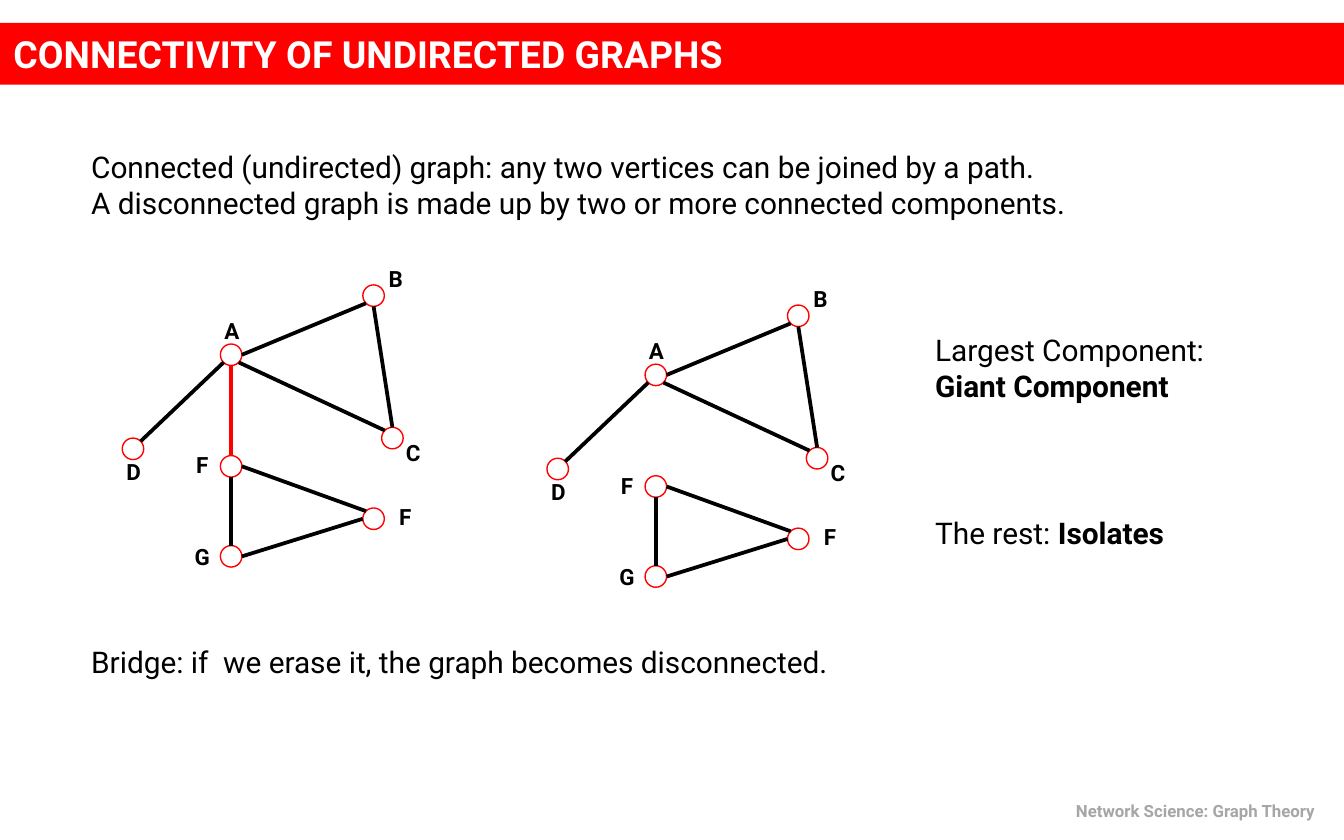
import math
from dataclasses import dataclass

from lxml import etree
from pptx import Presentation
from pptx.dml.color import RGBColor
from pptx.enum.shapes import MSO_CONNECTOR, MSO_SHAPE
from pptx.enum.text import MSO_ANCHOR, MSO_AUTO_SIZE, PP_ALIGN
from pptx.oxml.ns import qn
from pptx.slide import Slide
from pptx.text.text import TextFrame
from pptx.util import Inches, Pt

STRAIGHT = MSO_CONNECTOR.STRAIGHT
OVAL = MSO_SHAPE.OVAL
LEFT, CENTER, RIGHT = PP_ALIGN.LEFT, PP_ALIGN.CENTER, PP_ALIGN.RIGHT
TOP, MIDDLE = MSO_ANCHOR.TOP, MSO_ANCHOR.MIDDLE
TITLE_ONLY = 5


@dataclass(frozen=True)
class Theme:
    font: str = "Roboto"
    red: RGBColor = RGBColor(0xFF, 0x00, 0x00)
    black: RGBColor = RGBColor(0x00, 0x00, 0x00)
    white: RGBColor = RGBColor(0xFF, 0xFF, 0xFF)
    grey: RGBColor = RGBColor(0xA6, 0xA6, 0xA6)
    title: int = 20
    body: int = 16
    label: int = 12
    footer: int = 9
    edge: float = 2
    rim: float = 0.75


@dataclass(frozen=True)
class Span:
    text: str
    bold: bool = False


@dataclass(frozen=True)
class Note:
    left: float
    top: float
    width: float
    height: float
    lines: list[list[Span]]


@dataclass(frozen=True)
class Vertex:
    """Centre of a circle, and the corner of its label relative to it."""
    name: str
    x: float
    y: float
    label_dx: float
    label_dy: float


@dataclass(frozen=True)
class Edge:
    """Joins rim points; angles are clockwise degrees from the right."""
    start: str
    start_angle: int
    end: str
    end_angle: int


THEME = Theme()
RADIUS = 0.08
LABEL_WIDTH, LABEL_HEIGHT, LABEL_INSET = 0.27, 0.2, 0.03

VERTICES = {
    "A": Vertex("A", 1.72, 2.64, -0.13, -0.28),
    "B": Vertex("B", 2.78, 2.2, 0.03, -0.23),
    "C": Vertex("C", 2.92, 3.26, 0.02, 0.01),
    "D": Vertex("D", 0.99, 3.34, -0.13, 0.07),
    "F": Vertex("F", 1.72, 3.47, -0.35, -0.11),
    "G": Vertex("G", 1.72, 4.14, -0.35, -0.1),
    "F right": Vertex("F", 2.78, 3.86, 0.1, -0.12),
}
EDGES = [
    Edge("D", -45, "A", 135),
    Edge("A", 0, "B", 135),
    Edge("C", -90, "B", 90),
    Edge("A", 45, "C", -135),
    Edge("F", 0, "F right", -135),
    Edge("G", 0, "F right", 180),
    Edge("G", -90, "F", 90),
]
BRIDGE = Edge("F", -90, "A", 90)
SPLIT_GRAPH_SHIFT = (3.16, 0.15)

NOTES = [
    Note(0.58, 1.06, 7.51, 0.64, [
        [Span("Connected (undirected) graph: any two vertices can be joined by a path.")],
        [Span("A disconnected graph is made up by two or more connected components.")],
    ]),
    Note(0.58, 4.74, 5.79, 0.37,
         [[Span("Bridge: if  we erase it, the graph becomes disconnected.")]]),
    Note(6.86, 2.42, 2.24, 0.64,
         [[Span("Largest Component:")], [Span("Giant Component", True)]]),
    Note(6.86, 3.78, 1.99, 0.37, [[Span("The rest: "), Span("Isolates", True)]]),
]


def write_lines(frame: TextFrame, lines: list[list[Span]], size: int,
                color: RGBColor, align: PP_ALIGN = LEFT) -> None:
    for index, spans in enumerate(lines):
        para = frame.paragraphs[0] if index == 0 else frame.add_paragraph()
        para.alignment = align
        for span in spans:
            run = para.add_run()
            run.text = span.text
            run.font.name = THEME.font
            run.font.size = Pt(size)
            run.font.bold = span.bold
            run.font.color.rgb = color


def add_text(page: Slide, left: float, top: float, width: float,
             height: float, wrap: bool = True) -> TextFrame:
    box = page.shapes.add_textbox(Inches(left), Inches(top),
                                  Inches(width), Inches(height))
    frame = box.text_frame
    frame.word_wrap = wrap
    frame.auto_size = MSO_AUTO_SIZE.SHAPE_TO_FIT_TEXT
    frame.vertical_anchor = TOP
    return frame


def add_title(page: Slide, text: str) -> None:
    title = page.shapes.title
    title.left, title.top = Inches(0), Inches(0.17)
    title.width, title.height = Inches(10), Inches(0.46)
    title.fill.solid()
    title.fill.fore_color.rgb = THEME.red
    frame = title.text_frame
    frame.auto_size = MSO_AUTO_SIZE.NONE
    frame.vertical_anchor = MIDDLE
    write_lines(frame, [[Span(text, True)]], THEME.title, THEME.white)


def add_vertex(page: Slide, vertex: Vertex, dx: float, dy: float) -> None:
    x, y = vertex.x + dx, vertex.y + dy
    circle = page.shapes.add_shape(OVAL, Inches(x - RADIUS), Inches(y - RADIUS),
                                   Inches(2 * RADIUS), Inches(2 * RADIUS))
    circle.shadow.inherit = False
    circle.fill.background()
    circle.line.color.rgb = THEME.red
    circle.line.width = Pt(THEME.rim)

    frame = add_text(page, x + vertex.label_dx, y + vertex.label_dy,
                     LABEL_WIDTH, LABEL_HEIGHT)
    frame.margin_left = frame.margin_right = Inches(LABEL_INSET)
    frame.margin_top = frame.margin_bottom = 0
    write_lines(frame, [[Span(vertex.name, True)]], THEME.label, THEME.black, CENTER)


def rim_point(vertex: Vertex, angle: int, dx: float, dy: float) -> tuple[int, int]:
    turn = math.radians(angle)
    return (Inches(vertex.x + dx + RADIUS * math.cos(turn)),
            Inches(vertex.y + dy + RADIUS * math.sin(turn)))


def add_edge(page: Slide, edge: Edge, dx: float, dy: float, color: RGBColor) -> None:
    start = rim_point(VERTICES[edge.start], edge.start_angle, dx, dy)
    end = rim_point(VERTICES[edge.end], edge.end_angle, dx, dy)
    line = page.shapes.add_connector(STRAIGHT, *start, *end)
    line.line.color.rgb = color
    line.line.width = Pt(THEME.edge)
    etree.SubElement(line._element.spPr, qn("a:effectLst"))


def add_graph(page: Slide, dx: float = 0, dy: float = 0) -> None:
    for vertex in VERTICES.values():
        add_vertex(page, vertex, dx, dy)
    for edge in EDGES:
        add_edge(page, edge, dx, dy, THEME.black)


def main() -> None:
    deck = Presentation()
    deck.slide_width, deck.slide_height = Inches(10), Inches(6.25)
    page = deck.slides.add_slide(deck.slide_layouts[TITLE_ONLY])

    add_title(page, "CONNECTIVITY OF UNDIRECTED GRAPHS")
    for note in NOTES:
        frame = add_text(page, note.left, note.top, note.width, note.height, wrap=False)
        write_lines(frame, note.lines, THEME.body, THEME.black)
    footer = add_text(page, 7.08, 5.91, 2.83, 0.25)
    write_lines(footer, [[Span("Network Science: Graph Theory ", True)]],
                THEME.footer, THEME.grey, RIGHT)

    add_graph(page)
    add_edge(page, BRIDGE, 0, 0, THEME.red)
    add_graph(page, *SPLIT_GRAPH_SHIFT)

    deck.save("out.pptx")


if __name__ == "__main__":
    main()
